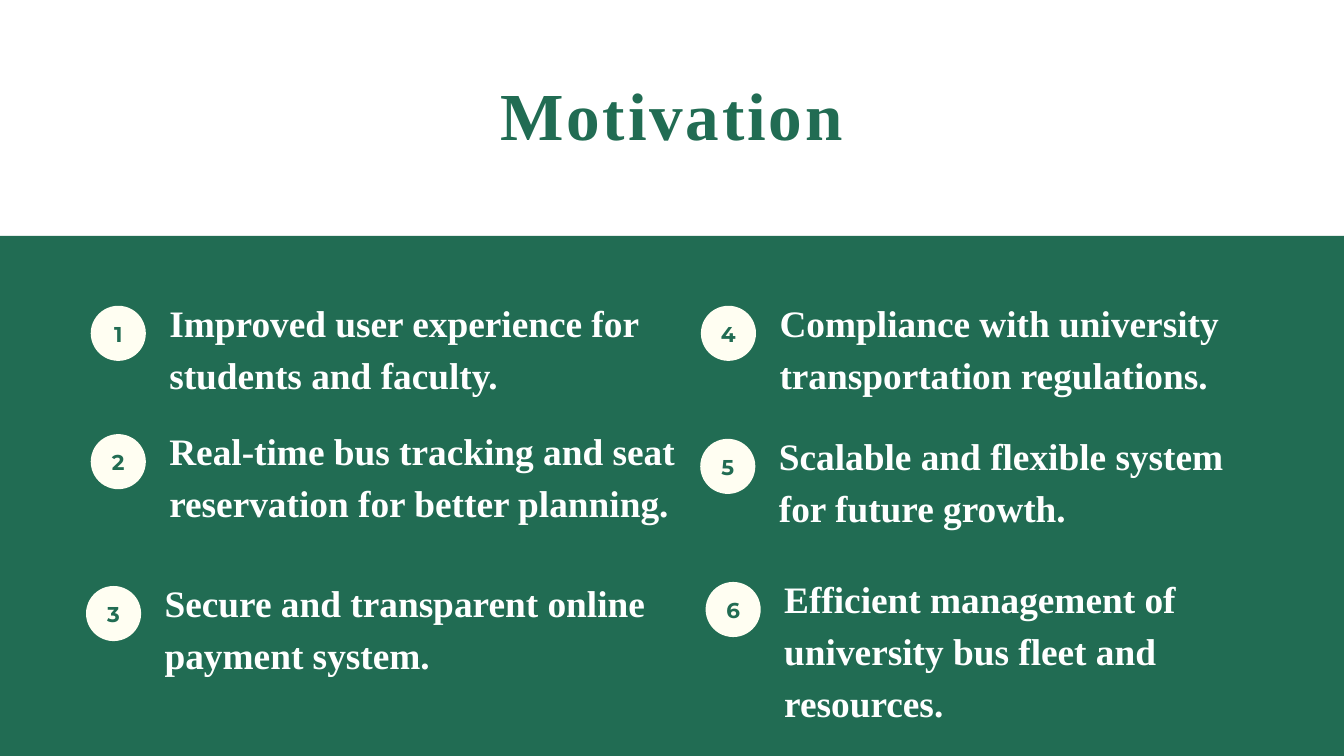
from typing import NamedTuple

from pptx import Presentation
from pptx.dml.color import RGBColor
from pptx.enum import shapes, text
from pptx.util import Inches, Pt

HUES = {"green": "216C53", "cream": "FFFEF2", "white": "FFFFFF"}
SERIF, SANS = "Times New Roman", "Montserrat"
DISC = 0.82


class Style(NamedTuple):
    font: str
    size: float
    lead: float
    hue: str
    track: float = 0


class Item(NamedTuple):
    num: int
    left: float
    top: float
    width: float
    height: float
    words: str


TITLE = Style(SERIF, 72, 70.8, "green", 3)
BODY = Style(SERIF, 40, 56, "white")
BADGE = Style(SANS, 23, 32.2, "green")

ITEMS = [
    Item(1, 1.35, 4.55, 7.06, 1.51, "Improved user experience for students and faculty."),
    Item(2, 1.35, 6.46, 7.56, 1.51, "Real-time bus tracking and seat reservation for better planning."),
    Item(3, 1.28, 8.72, 7.56, 1.51, "Secure and transparent online payment system."),
    Item(4, 10.43, 4.55, 6.98, 1.51, "Compliance with university transportation regulations."),
    Item(5, 10.42, 6.53, 7.25, 1.51, "Scalable and flexible system for future growth."),
    Item(6, 10.5, 8.66, 7.67, 2.29, "Efficient management of university bus fleet and resources."),
]


def add_form(tree, kind, left: float, top: float, width: float, height: float, hue: str) -> None:
    form = tree.add_shape(kind, Inches(left), Inches(top), Inches(width), Inches(height))
    form.shadow.inherit = False
    form.fill.solid()
    form.fill.fore_color.rgb = RGBColor.from_string(HUES[hue])
    form.line.fill.background()


def add_words(tree, left: float, top: float, width: float, height: float, words: str,
              style: Style, align=text.PP_ALIGN.LEFT, anchor=text.MSO_ANCHOR.TOP,
              inset: float = 0) -> None:
    box = tree.add_textbox(Inches(left), Inches(top), Inches(width), Inches(height))
    frame = box.text_frame
    frame.word_wrap = True
    frame.vertical_anchor = anchor
    frame.margin_left = frame.margin_right = Inches(inset)
    frame.margin_top = frame.margin_bottom = Inches(inset)
    para = frame.paragraphs[0]
    para.alignment = align
    para.line_spacing = Pt(style.lead)
    run = para.add_run()
    run.text = words
    run.font.name = style.font
    run.font.size = Pt(style.size)
    run.font.bold = True
    run.font.color.rgb = RGBColor.from_string(HUES[style.hue])
    if style.track:
        run._r.get_or_add_rPr().set("spc", str(round(style.track * 100)))


def add_item(tree, item: Item) -> None:
    """Draw a numbered disc with its statement to the right."""
    badge = tree.add_group_shape().shapes
    add_form(badge, shapes.MSO_SHAPE.OVAL, item.left, item.top, DISC, DISC, "cream")
    add_words(badge, item.left + 0.08, item.top + 0.03, 0.66, 0.71, str(item.num), BADGE,
              text.PP_ALIGN.CENTER, text.MSO_ANCHOR.MIDDLE, 0.06)
    add_words(tree, item.left + 1.17, item.top - 0.2, item.width, item.height,
              item.words, BODY)


def main() -> None:
    deck = Presentation()
    deck.slide_width, deck.slide_height = Inches(20), Inches(11.25)
    tree = deck.slides.add_slide(deck.slide_layouts[6]).shapes
    add_form(tree, shapes.MSO_SHAPE.RECTANGLE, 0, 3.51, 20, 7.74, "green")
    add_words(tree, 4.37, 1.3, 11.25, 0.99, "Motivation", TITLE, text.PP_ALIGN.CENTER)
    for item in ITEMS:
        add_item(tree, item)
    deck.save("out.pptx")


if __name__ == "__main__":
    main()
